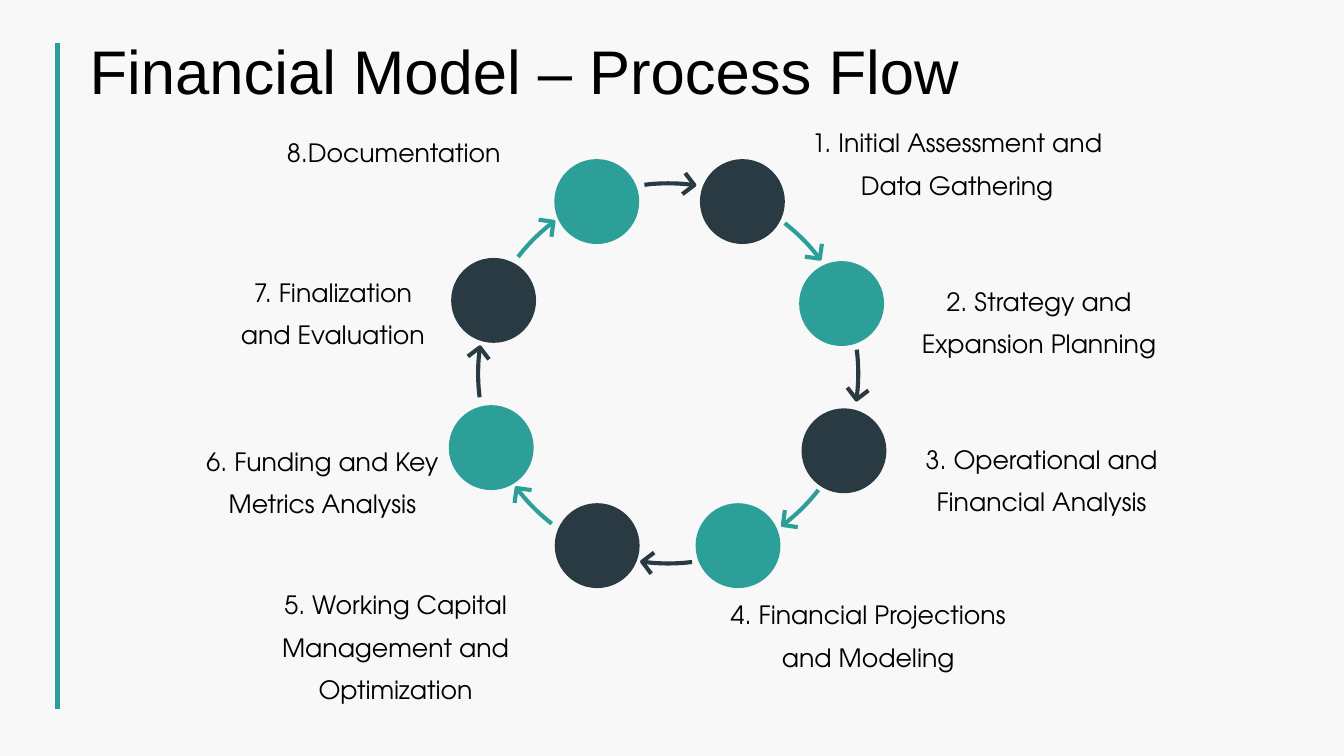
from math import cos, radians, sin

from lxml.etree import SubElement
from pptx import Presentation
from pptx.dml.color import RGBColor
from pptx.enum.shapes import MSO_CONNECTOR, MSO_SHAPE
from pptx.enum.text import MSO_ANCHOR, MSO_AUTO_SIZE, PP_ALIGN
from pptx.oxml.ns import qn
from pptx.util import Cm, Pt

TEAL, DARK, BLACK, PAPER = "2C9F98", "293A42", "000000", "F8F8F8"

# Ring geometry in centimetres and degrees
RING_X, RING_Y, RING_RADIUS = 16.84, 9.41, 4.79
NODE_SIZE, BARB_LENGTH = 2.14, 0.38
ARC_HALF_SPAN, TIP_ANGLE, ARC_STEPS = 7.2, 7.9, 12

# Label, node centre, label box (left, top, width, height) in centimetres
STEPS = [
    ("1. Initial Assessment and Data Gathering", (18.71, 5.08), (20.02, 2.79, 8.2, 2.34)),
    ("2. Strategy and Expansion Planning", (21.21, 7.65), (22.91, 6.78, 6.55, 2.34)),
    ("3. Operational and Financial Analysis", (21.27, 11.36), (22.86, 10.77, 6.78, 2.34)),
    ("4. Financial Projections and Modeling", (18.6, 13.75), (18.16, 14.68, 7.44, 2.34)),
    ("5. Working Capital Management and Optimization", (15.05, 13.75), (6.73, 14.43, 6.48, 3.4)),
    ("6. Funding and Key Metrics Analysis", (12.38, 11.28), (4.44, 10.82, 7.37, 2.34)),
    ("7. Finalization and Evaluation", (12.44, 7.57), (5.61, 6.55, 5.56, 2.34)),
    ("8.Documentation", (15.04, 5.08), (6.98, 3.33, 6.88, 1.8)),
]


def colour(hex_text):
    return RGBColor.from_string(hex_text)


def paint(fill, hex_text):
    fill.solid()
    fill.fore_color.rgb = colour(hex_text)


def write(para, text, font_name, size):
    span = para.add_run()
    span.text = text
    span.font.name = font_name
    span.font.size = Pt(size)
    span.font.color.rgb = colour(BLACK)


def add_title(page, text):
    title = page.shapes.title
    title.left, title.top, title.width, title.height = Cm(2.01), Cm(0.79), Cm(24.71), Cm(2.57)
    frame = title.text_frame
    frame.word_wrap = True
    frame.auto_size = MSO_AUTO_SIZE.NONE
    frame.vertical_anchor = MSO_ANCHOR.TOP
    frame.margin_left = frame.margin_right = Cm(0.25)
    frame.margin_top = frame.margin_bottom = Cm(0.25)
    para = frame.paragraphs[0]
    para.alignment = PP_ALIGN.LEFT
    para.line_spacing = 0.9
    write(para, text, "Arial", 44)


def add_side_rule(page):
    rule = page.shapes.add_connector(MSO_CONNECTOR.STRAIGHT, Cm(1.45), Cm(1.09), Cm(1.45), Cm(17.86))
    rule.line.color.rgb = colour(TEAL)
    rule.line.width = Pt(3.25)
    SubElement(rule._element.spPr, qn("a:effectLst"))


def add_stroke(shapes, points, hex_text):
    """Draw an open outline through points given in centimetres."""
    corners = [(Cm(x), Cm(y)) for x, y in points]
    builder = shapes.build_freeform(*corners[0])
    builder.add_line_segments(corners[1:], close=False)
    stroke = builder.convert_to_shape()
    stroke.shadow.inherit = False
    stroke.fill.background()
    stroke.line.color.rgb = colour(hex_text)
    stroke.line.width = Pt(2.95)


def polar(x, y, radius, degrees):
    return x + radius * cos(radians(degrees)), y + radius * sin(radians(degrees))


def add_ring_arrow(page, middle, hex_text):
    """Clockwise arc around the ring, centred on the angle middle."""
    group = page.shapes.add_group_shape()
    sweep = [ARC_HALF_SPAN * (2 * i / ARC_STEPS - 1) for i in range(ARC_STEPS + 1)]
    arc = [polar(RING_X, RING_Y, RING_RADIUS, middle + offset) for offset in sweep]
    add_stroke(group.shapes, arc, hex_text)
    tip_angle = middle + TIP_ANGLE
    tip = polar(RING_X, RING_Y, RING_RADIUS, tip_angle)
    barbs = [polar(*tip, BARB_LENGTH, tip_angle - 90 + turn) for turn in (45, -45)]
    add_stroke(group.shapes, [barbs[0], tip, barbs[1]], hex_text)


def add_node(page, centre, hex_text):
    left, top = (Cm(value - NODE_SIZE / 2) for value in centre)
    node = page.shapes.add_shape(MSO_SHAPE.OVAL, left, top, Cm(NODE_SIZE), Cm(NODE_SIZE))
    node.shadow.inherit = False
    paint(node.fill, hex_text)
    node.line.fill.background()


def add_label(page, text, area, centred):
    box = page.shapes.add_textbox(*map(Cm, area))
    frame = box.text_frame
    frame.word_wrap = True
    frame.auto_size = MSO_AUTO_SIZE.SHAPE_TO_FIT_TEXT
    para = frame.paragraphs[0]
    if centred:
        para.alignment = PP_ALIGN.CENTER
        para.line_spacing = 1.4
    write(para, text, "TeX Gyre Adventor", 18)


def main():
    deck = Presentation()
    deck.slide_width, deck.slide_height = Cm(33.87), Cm(19.05)
    page = deck.slides.add_slide(deck.slide_layouts[5])
    paint(page.background.fill, PAPER)

    # Title and side rule
    add_title(page, "Financial Model – Process Flow")
    add_side_rule(page)

    # Cycle: each node with its label and the arrow to the next node
    for number, (text, centre, area) in enumerate(STEPS, start=1):
        node_colour, arrow_colour = (DARK, TEAL) if number % 2 else (TEAL, DARK)
        add_ring_arrow(page, 45 * number - 90, arrow_colour)
        add_node(page, centre, node_colour)
        add_label(page, text, area, centred=number < len(STEPS))

    deck.save("out.pptx")


if __name__ == "__main__":
    main()
